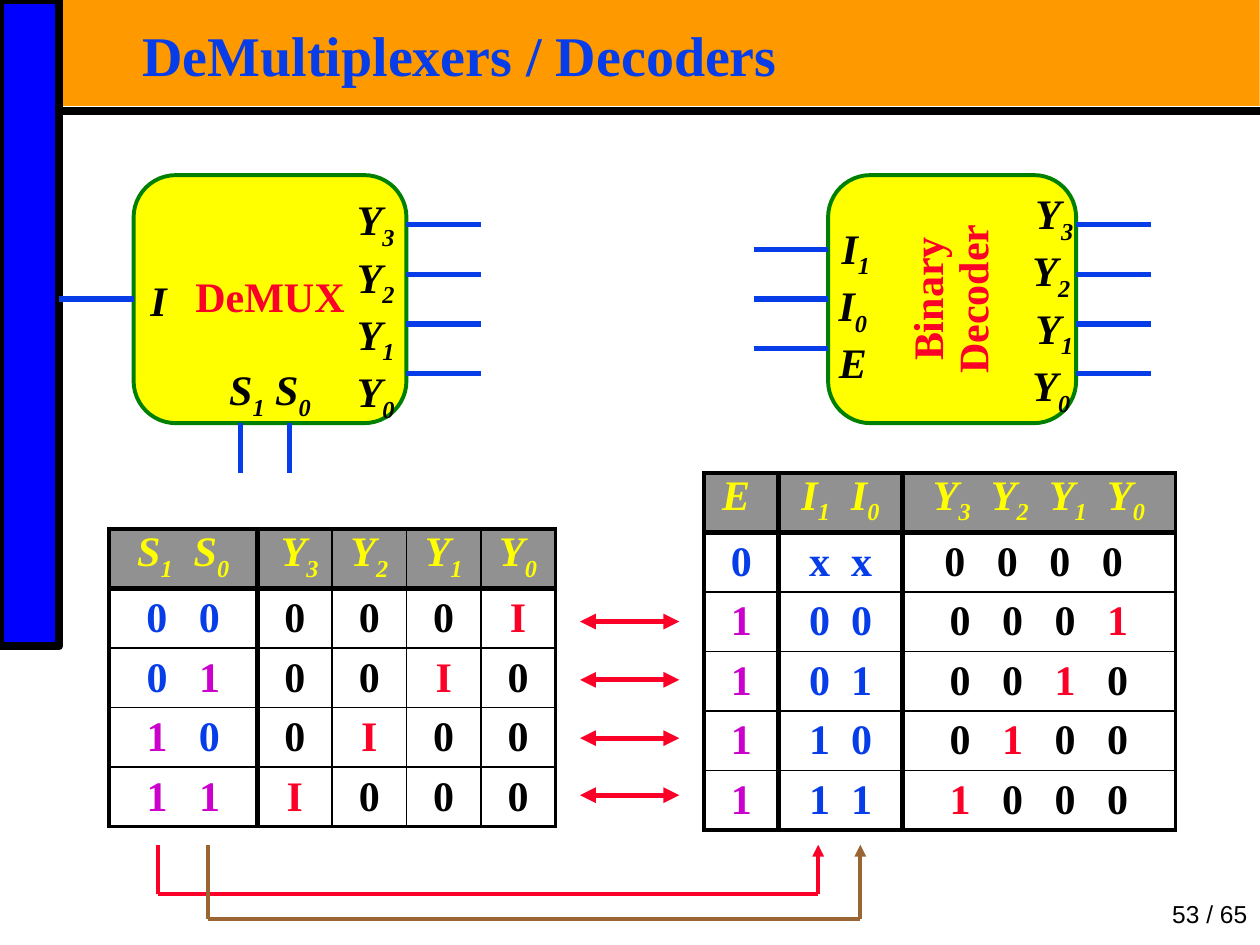
"""Build the slide that compares a demultiplexer with a binary decoder."""
from itertools import groupby
from lxml import etree
from pptx import Presentation, util as u
from pptx.dml.color import RGBColor as Rgb
from pptx.enum import shapes as es, text as et
from pptx.oxml.ns import qn

HUE = {"band": "FF9900", "pole": "0000FF", "black": "000000", "blue": "063DE8",
       "red": "FC0128", "pink": "CC00CC", "brown": "996633", "body": "FFFF00",
       "rim": "008000", "head": "919191"}
STEP, LEFT, TOP = u.Cm(0.5), u.Inches(0.47), u.Inches(1.39)
MID, START, END = et.PP_ALIGN.CENTER, et.PP_ALIGN.LEFT, et.PP_ALIGN.RIGHT


def spot(col, row, wide, high):
    return (LEFT + int(col * STEP), TOP + int(row * STEP),
            int(wide * STEP), int(high * STEP))


def write(frame, lines, tint="black", hot={}, slant=True, side=MID):
    frame.margin_left = frame.margin_right = frame.margin_top = frame.margin_bottom = 0
    frame.word_wrap = True
    frame.text = "\n" * (len(lines) - 1)
    for para, line in zip(frame.paragraphs, lines):
        para.alignment = side
        marks = [(ch, i > 0 and line[i - 1] == "_", hot.get(ch, tint))
                 for i, ch in enumerate(line) if ch != "_"]
        for (low, hue), part in groupby(marks, lambda m: m[1:]):
            run = para.add_run()
            run.text = "".join(m[0] for m in part)
            run.font.name, run.font.size = "Times New Roman", u.Pt(24)
            run.font.bold, run.font.italic = True, slant
            run.font.color.rgb = Rgb.from_string(HUE[hue])
            if low:
                run.font._element.set("baseline", "-25000")


deck = Presentation()
deck.slide_width, deck.slide_height = u.Inches(10), u.Inches(7.5)
page = deck.slides.add_slide(deck.slide_layouts[6])
items = page.shapes

RECT, ROUND = es.MSO_SHAPE.RECTANGLE, es.MSO_SHAPE.ROUNDED_RECTANGLE
for kind, place, fill, rim, pts, label in [
        (RECT, (0, -7.06, 48.4, 4.27), "band", None, 0, ""),
        (RECT, (-2.4, -7.06, 2.4, 26.06), "pole", "black", 4.5, ""),
        (ROUND, (3, 0, 11, 10), "body", "rim", 2.25, "DeMUX"),
        (ROUND, (31, 0, 10, 10), "body", "rim", 2.25, "Binary\vDecoder")]:
    box = items.add_shape(kind, *spot(*place))
    box.shadow.inherit = False
    box.fill.solid()
    box.fill.fore_color.rgb = Rgb.from_string(HUE[fill])
    if rim:
        box.line.color.rgb = Rgb.from_string(HUE[rim])
        box.line.width = u.Pt(pts)
    else:
        box.line.fill.background()
    if label:
        box.adjustments[0] = 0.17
        frame = box.text_frame
        frame.text, frame.word_wrap = label, False
        frame.vertical_anchor = et.MSO_ANCHOR.MIDDLE
        frame.margin_left = frame.margin_right = frame.margin_top = frame.margin_bottom = 0
        para = frame.paragraphs[0]
        para.alignment, para.line_spacing = MID, 0.9
        for run in para.runs:
            run.font.name, run.font.size, run.font.bold = "Times New Roman", u.Pt(24), True
            run.font.color.rgb = Rgb.from_string(HUE["red"])
        if "\v" in label:
            box.element.txBody.find(qn("a:bodyPr")).set("vert", "vert270")

for place, label, face, size, hue, bold, side in [
        ((3, -6, 44, 2.64), "DeMultiplexers / Decoders", "Times New Roman", 32, "blue", True, START),
        ((41.75, 29, 6.65, 1.63), "53 / 65", "Arial", 14, "black", False, END)]:
    frame = items.add_textbox(*spot(*place)).text_frame
    frame.text, frame.word_wrap = label, True
    para = frame.paragraphs[0]
    para.alignment = side
    font = para.runs[0].font
    font.name, font.size, font.bold = face, u.Pt(size), bold
    font.color.rgb = Rgb.from_string(HUE[hue])
    if bold:
        para.line_spacing = 0.87
        frame.margin_left = frame.margin_right = u.Inches(0.07)
        frame.margin_top = frame.margin_bottom = u.Inches(0.03)
    else:
        frame.vertical_anchor = et.MSO_ANCHOR.BOTTOM

for place, lines, side in [
        ((3, 4, 2, 2), ["I"], MID),
        ((6, 7.6, 5, 2), ["S_1 S_0"], MID),
        ((12, 0.75, 2, 8.1), ["Y_3", "Y_2", "Y_1", "Y_0"], START),
        ((31, 1.9, 2, 6.1), ["_ I_1", "I_0", "E"], MID),
        ((39, 0.5, 2, 8.1), ["_ Y_3", "Y_2", "_ Y_1", "Y_0"], MID)]:
    write(items.add_textbox(*spot(*place)).text_frame, lines, side=side)

wires = [(0, -2.6, 48.4, -2.6, "black", 4.5, ""), (0, 5, 3, 5, "blue", 3, "")]
wires += [(c, r, c + 3, r, "blue", 3, "") for c in (14, 41) for r in (2, 4, 6, 8)]
wires += [(28, r, 31, r, "blue", 3, "") for r in (3, 5, 7)]
wires += [(c, 12, c, 10, "blue", 3, "") for c in (7.3, 9.3)]
wires += [(21, r, 25, r, "red", 3, "both") for r in (18, 20.35, 22.7, 25)]
for a, b, r, hue in [(4, 30.6, 29, "red"), (6, 32.3, 30, "brown")]:
    wires += [(a, 27, a, r, hue, 2.25, ""), (a, r, b, r, hue, 2.25, ""),
              (b, r, b, 27, hue, 2.25, "tail")]
for a, b, c, d, hue, pts, tips in wires:
    wire = items.add_connector(es.MSO_CONNECTOR.STRAIGHT,
                               *spot(a, b, 0, 0)[:2], *spot(c, d, 0, 0)[:2])
    wire.line.color.rgb = Rgb.from_string(HUE[hue])
    wire.line.width = u.Pt(pts)
    props = wire.element.spPr
    for tag in {"both": ("headEnd", "tailEnd"), "tail": ("tailEnd",)}.get(tips, ()):
        etree.SubElement(props.find(qn("a:ln")), qn("a:" + tag), type="triangle")
    etree.SubElement(props, qn("a:effectLst"))

BITS = ("blue", {"1": "pink"})
OUT = ("black", {"1": "red", "I": "red"})
for col, row, wide, heavy, tints, data in [
        (26, 12, (3, 5, 11), (1, 2), (BITS, ("blue", {}), OUT), [
            ("E ", "I_1  I_0", "Y_3  Y_2  Y_1  Y_0"),
            ("0", "x  x", "0   0   0   0 "),
            ("1", "0  0", "0   0   0   1"),
            ("1", "0  1", "0   0   1   0"),
            ("1", "1  0", "0   1   0   0"),
            ("1", "1  1", "1   0   0   0")]),
        (2, 14.27, (6, 3, 3, 3, 3), (1,), (BITS, OUT, OUT, OUT, OUT), [
            ("S_1  S_0", " Y_3", "Y_2", "Y_1", "Y_0"),
            ("0   0", "0", "0", "0", "I"),
            ("0   1", "0", "0", "I", "0"),
            ("1   0", "0", "I", "0", "0"),
            ("1   1", "I", "0", "0", "0")])]:
    rows, cols = len(data), len(wide)
    grid = items.add_table(rows, cols, *spot(col, row, sum(wide), 2.4 * rows)).table
    grid.first_row = grid.horz_banding = False
    for c, w in enumerate(wide):
        grid.columns[c].width = int(w * STEP)
    across = [3 if c in heavy else 1 for c in range(cols + 1)]
    down = [3 if r == 1 else 1 for r in range(rows + 1)]
    across[0] = across[-1] = down[0] = down[-1] = 2.25
    for r, line in enumerate(data):
        grid.rows[r].height = int(2.4 * STEP)
        for c, label in enumerate(line):
            cell = grid.cell(r, c)
            tint, hot = tints[c] if r else ("body", {})
            write(cell.text_frame, [label], tint, hot, slant=r == 0)
            cell.margin_left = cell.margin_right = cell.margin_top = cell.margin_bottom = 0
            cell.vertical_anchor = et.MSO_ANCHOR.MIDDLE if r else et.MSO_ANCHOR.TOP
            props = cell._tc.get_or_add_tcPr()
            for edge, pts in zip("LRTB", (across[c], across[c + 1], down[r], down[r + 1])):
                rule = etree.SubElement(props, qn("a:ln" + edge), w=str(u.Pt(pts)))
                solid = etree.SubElement(rule, qn("a:solidFill"))
                etree.SubElement(solid, qn("a:srgbClr"), val=HUE["black"])
            if r:
                cell.fill.background()
            else:
                cell.fill.solid()
                cell.fill.fore_color.rgb = Rgb.from_string(HUE["head"])

deck.save("out.pptx")
